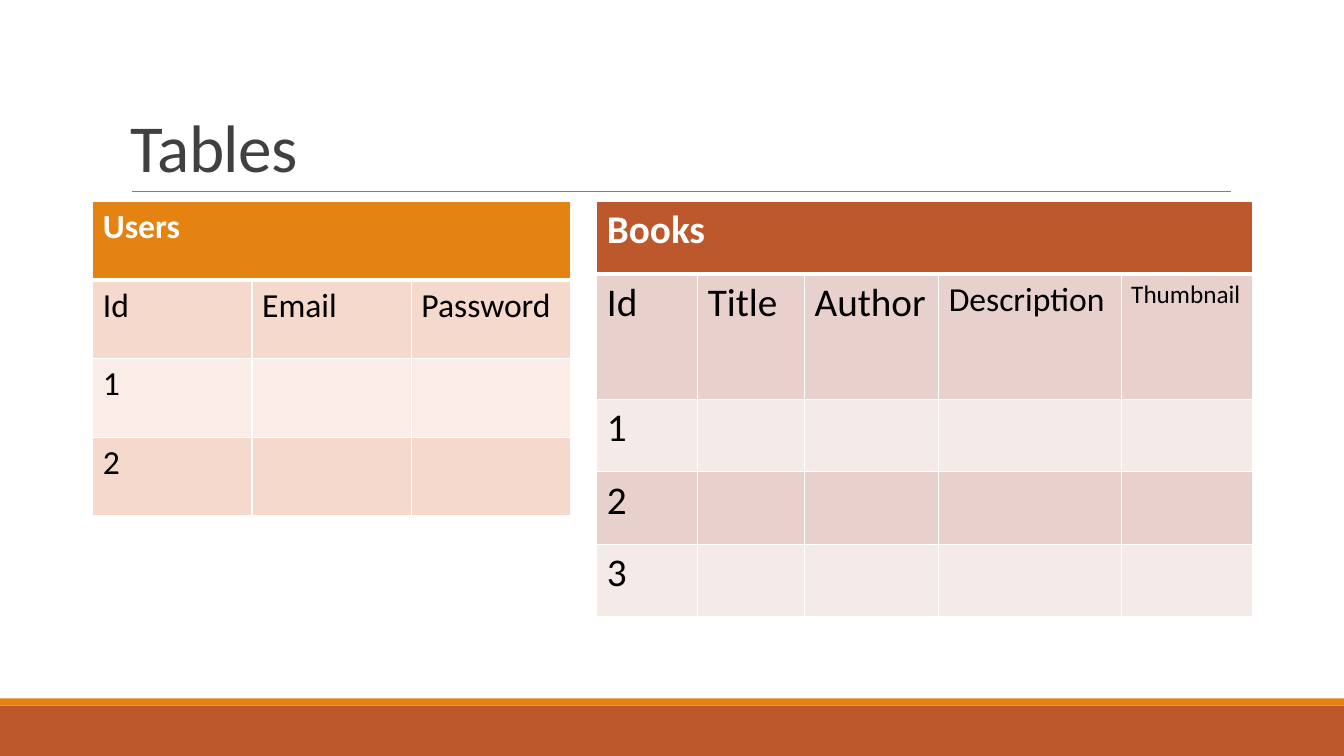
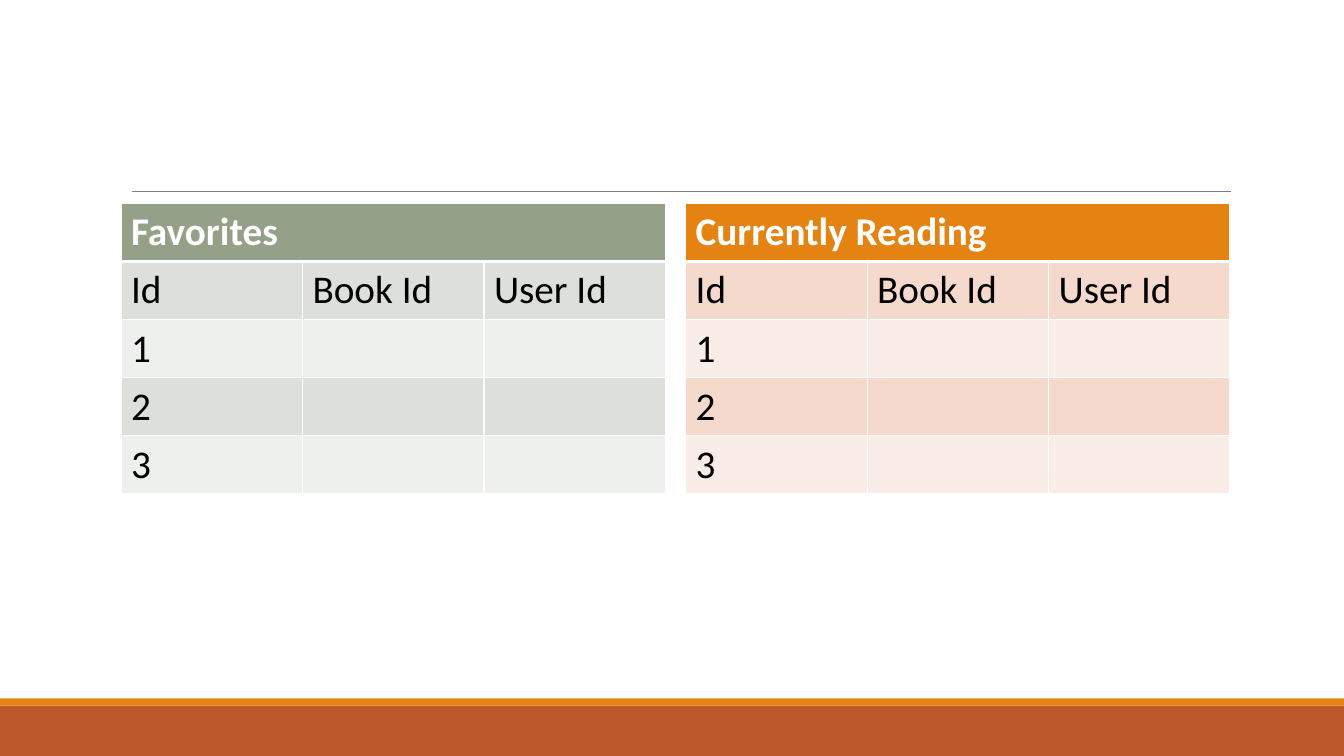
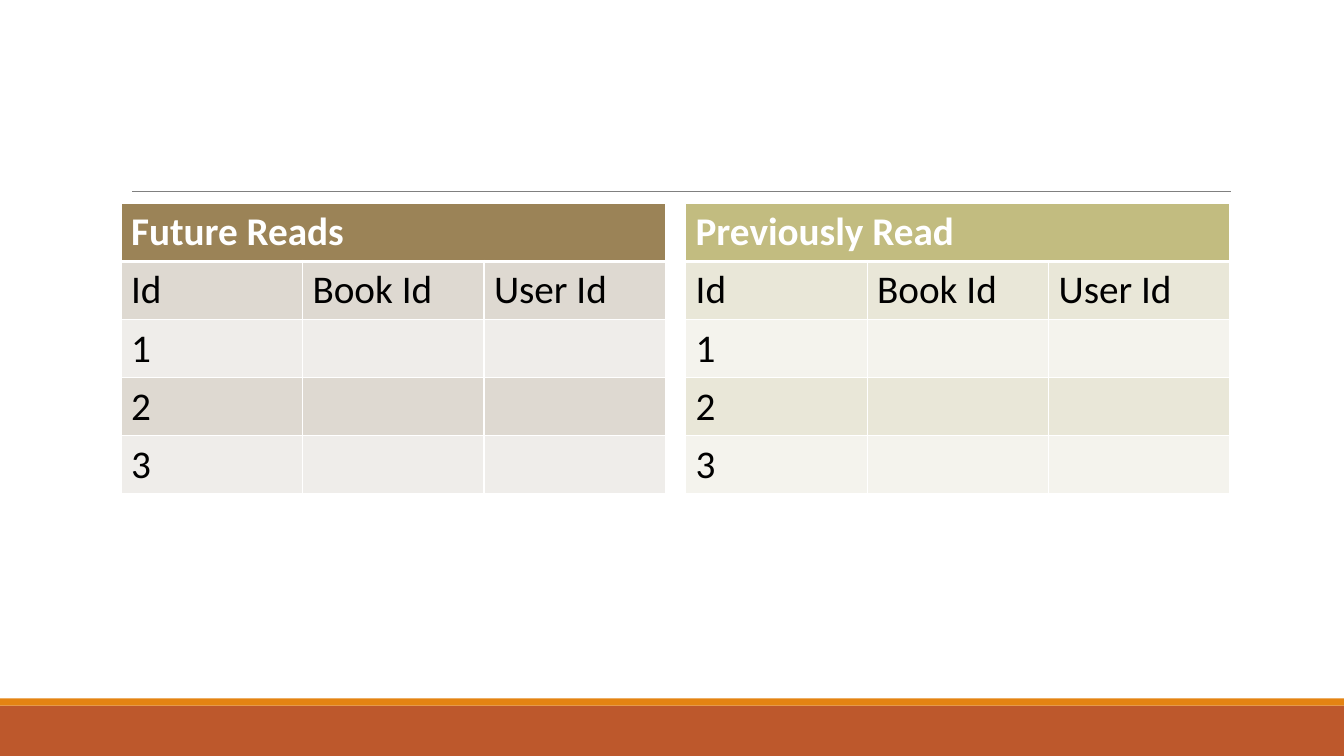
from lxml import etree
from pptx import Presentation
from pptx.dml.color import RGBColor
from pptx.enum.shapes import MSO_CONNECTOR, MSO_SHAPE
from pptx.enum.text import MSO_ANCHOR
from pptx.oxml import parse_xml
from pptx.oxml.ns import nsdecls, qn
from pptx.util import Inches, Pt

FONT = "Calibri"
WHITE = RGBColor(0xFF, 0xFF, 0xFF)
BLACK = RGBColor(0x00, 0x00, 0x00)
TITLE_GRAY = RGBColor(0x40, 0x40, 0x40)
RULE_GRAY = RGBColor(0x80, 0x80, 0x80)
ORANGE = RGBColor(0xE4, 0x83, 0x12)
RUST = RGBColor(0xBD, 0x58, 0x2C)

# Table themes: heading, darker band, lighter band
ORANGE_THEME = (ORANGE, RGBColor(0xF5, 0xD9, 0xCC), RGBColor(0xFA, 0xED, 0xE7))
RUST_THEME = (RUST, RGBColor(0xE8, 0xD1, 0xCD), RGBColor(0xF4, 0xEA, 0xE8))
SAGE_THEME = (RGBColor(0x94, 0xA0, 0x88), RGBColor(0xDC, 0xDF, 0xDA), RGBColor(0xEE, 0xF0, 0xED))
BROWN_THEME = (RGBColor(0x9B, 0x83, 0x57), RGBColor(0xDE, 0xD9, 0xD1), RGBColor(0xEF, 0xED, 0xEA))
KHAKI_THEME = (RGBColor(0xC2, 0xBC, 0x80), RGBColor(0xE9, 0xE7, 0xD8), RGBColor(0xF4, 0xF3, 0xED))


def add_run(p, text, size, color, bold=False):
    r = p.add_run()
    r.text = text
    r.font.name, r.font.size, r.font.bold = FONT, Pt(size), bold
    r.font.color.rgb = color
    return r


def add_data_table(s, left, top, heading, theme, columns, row_heights, size):
    """Add a table with a merged heading, (name, width, size) columns and numbered rows."""
    width = sum(col_width for _, col_width, _ in columns)
    table = s.shapes.add_table(len(row_heights), len(columns), Inches(left), Inches(top),
                               Inches(width), Inches(sum(row_heights))).table
    for col, (_, col_width, _) in zip(table.columns, columns):
        col.width = Inches(col_width)
    for row, height in zip(table.rows, row_heights):
        row.height = Inches(height)
    table.cell(0, 0).merge(table.cell(0, len(columns) - 1))

    for i in range(len(row_heights)):
        for j, (name, _, name_size) in enumerate(columns):
            cell = table.cell(i, j)
            if cell.is_spanned:
                continue
            tcPr = cell._tc.get_or_add_tcPr()
            for side in "LRTB":
                points = 3 if (i, side) in ((0, "B"), (1, "T")) else 1
                tcPr.append(parse_xml(
                    f'<a:ln{side} {nsdecls("a")} w="{Pt(points)}"><a:solidFill>'
                    f'<a:srgbClr val="{WHITE}"/></a:solidFill></a:ln{side}>'))
            cell.fill.solid()
            cell.fill.fore_color.rgb = theme[0] if i == 0 else theme[2 - i % 2]
            p = cell.text_frame.paragraphs[0]
            if i == 0:
                add_run(p, heading, size, WHITE, bold=True)
            elif i == 1:
                add_run(p, name, name_size, BLACK)
            elif j == 0:
                add_run(p, str(i - 1), size, BLACK)


prs = Presentation()
prs.slide_width, prs.slide_height = Inches(13.33), Inches(7.5)

# Shared footer bands and title rule
slides = []
for _ in range(3):
    s = prs.slides.add_slide(prs.slide_layouts[6])
    for top, height, color in ((7, 0.5, RUST), (6.93, 0.07, ORANGE)):
        band = s.shapes.add_shape(MSO_SHAPE.RECTANGLE, 0, Inches(top),
                                  prs.slide_width, Inches(height))
        band.shadow.inherit = False
        band.fill.solid()
        band.fill.fore_color.rgb = color
        band.line.fill.background()
    rule = s.shapes.add_connector(MSO_CONNECTOR.STRAIGHT, Inches(1.31), Inches(1.9),
                                  Inches(12.21), Inches(1.9))
    rule.line.color.rgb = RULE_GRAY
    rule.line.width = Pt(0.5)
    etree.SubElement(rule._element.spPr, qn("a:effectLst"))
    slides.append(s)

# Slide 1: users and books
s = slides[0]
tf = s.shapes.add_textbox(Inches(1.2), Inches(0.31), Inches(11), Inches(1.59)).text_frame
tf.word_wrap = True
tf.vertical_anchor = MSO_ANCHOR.BOTTOM
p = tf.paragraphs[0]
p.line_spacing = 0.85
r = add_run(p, "Tables", 48, TITLE_GRAY)
r.font._element.set("spc", "-50")

user_columns = [(name, 1.58, 24) for name in ("Id", "Email", "Password")]
add_data_table(s, 0.92, 2, "Users", ORANGE_THEME, user_columns, [0.78] * 4, 24)
book_columns = [("Id", 1, 28), ("Title", 1.06, 28), ("Author", 1.33, 28),
                ("Description", 1.81, 24), ("Thumbnail", 1.3, 18)]
add_data_table(s, 5.92, 2, "Books", RUST_THEME, book_columns,
               [0.72, 1.24, 0.72, 0.72, 0.72], 28)

# Slides 2 and 3: reading lists linking books to users
link_columns = [(name, 1.8, 28) for name in ("Id", "Book Id", "User Id")]
reading_lists = [
    [("Favorites", SAGE_THEME), ("Currently Reading", ORANGE_THEME)],
    [("Future Reads", BROWN_THEME), ("Previously Read", KHAKI_THEME)],
]
for s, pair in zip(slides[1:], reading_lists):
    for i, (heading, theme) in enumerate(pair):
        add_data_table(s, 1.2 + 5.6 * i, 2.02, heading, theme, link_columns, [0.57] * 5, 28)

prs.save("out.pptx")
